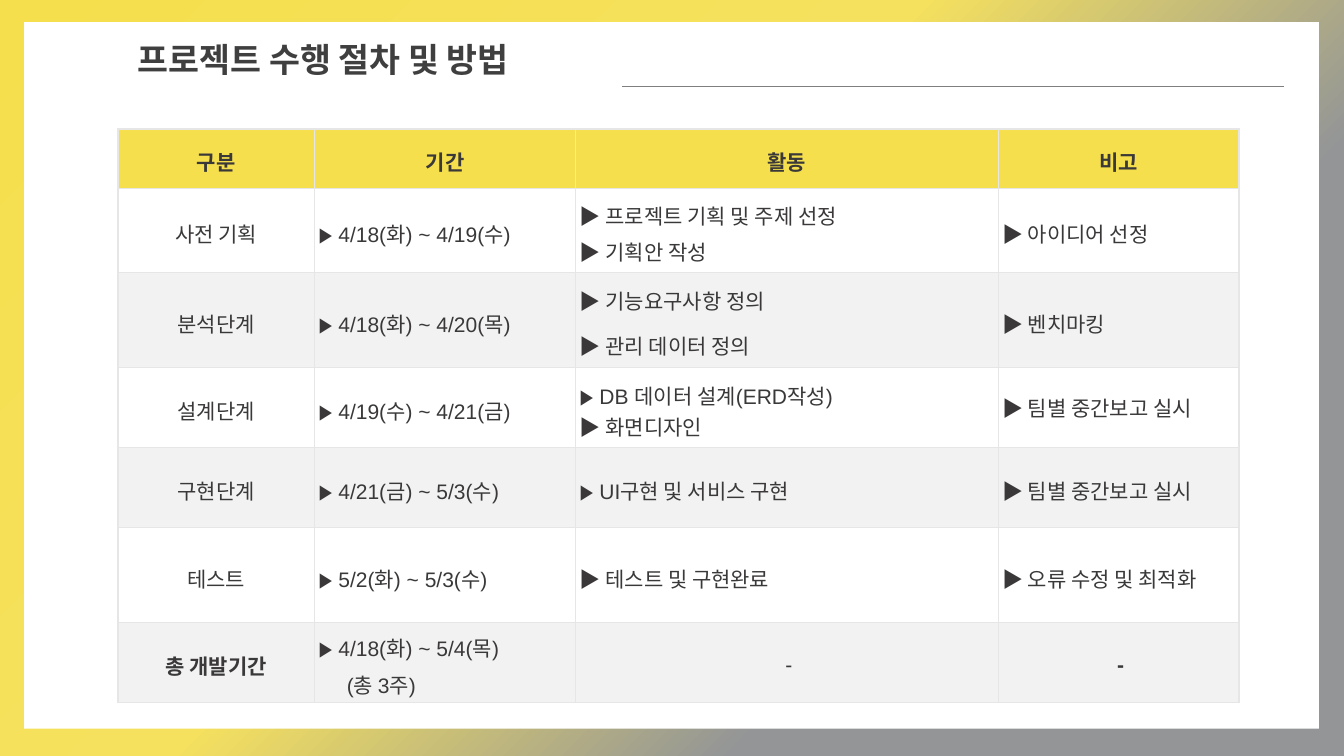
import pptx
import pptx.dml.color
import pptx.enum.shapes
import pptx.enum.text
import pptx.oxml
import pptx.oxml.ns
import pptx.util
from pptx.util import Inches

COLORS = {
    "yellow": "F5DF4D", "pale_yellow": "F5E15E", "gray": "939597",
    "white": "FFFFFF", "band": "F2F2F2", "border": "E7E6E6",
    "title": "3F3F3F", "text": "3A3838", "rule": "7F7F7F",
}
DRAWING_NS = pptx.oxml.ns.nsdecls("a")
CENTER = pptx.enum.text.PP_ALIGN.CENTER
LEFT = pptx.enum.text.PP_ALIGN.LEFT

COLUMN_WIDTHS = [1.95, 2.59, 4.19, 2.39]
ROW_HEIGHTS = [0.59, 0.83, 0.95, 0.79, 0.79, 0.95, 0.79]


def plain(text, **text_format):
    return {"text": text, "align": CENTER, **text_format}


def marked(text, **text_format):
    """A left-aligned line that starts with a bold triangle."""
    return {"text": text, "marker": "▶ ", **text_format}


SCHEDULE = [
    [[plain(name, bold=True)] for name in ("구분", "기간", "활동", "비고")],
    [[plain("사전 기획")], [marked("4/18(화) ~ 4/19(수)")],
     [marked("프로젝트 기획 및 주제 선정"), marked("기획안 작성")],
     [marked("아이디어 선정")]],
    [[plain("분석단계")], [marked("4/18(화) ~ 4/20(목)")],
     [marked("기능요구사항 정의"), marked("관리 데이터 정의", space_before=6)],
     [marked("벤치마킹")]],
    [[plain("설계단계")], [marked("4/19(수) ~ 4/21(금)")],
     [marked("DB 데이터 설계(ERD작성)"), marked("화면디자인", spacing=1.0)],
     [marked("팀별 중간보고 실시", spacing=1.0)]],
    [[plain("구현단계")], [marked("4/21(금) ~ 5/3(수)")],
     [marked("UI구현 및 서비스 구현")], [marked("팀별 중간보고 실시")]],
    [[plain("테스트")], [marked("5/2(화) ~ 5/3(수)")],
     [marked("테스트 및 구현완료")], [marked("오류 수정 및 최적화")]],
    [[plain("총 개발기간", bold=True)],
     [marked("4/18(화) ~ 5/4(목)"), plain("(총 3주)", align=LEFT, indent=0.28)],
     [plain("-")], [plain("-", bold=True)]],
]


def rgb(name):
    return pptx.dml.color.RGBColor.from_string(COLORS[name])


def write_line(paragraph, text, marker="", size=15, color="text", bold=False,
               align=LEFT, spacing=1.2, space_before=0, indent=0):
    paragraph.alignment = align
    paragraph.line_spacing = spacing
    if space_before:
        paragraph.space_before = pptx.util.Pt(space_before)
    if indent:
        paragraph._p.get_or_add_pPr().set("marL", str(Inches(indent)))
    for content, is_bold in ((marker, True), (text, bold)):
        if content:
            run = paragraph.add_run()
            run.text = content
            run.font.name = "Arial"
            run.font.size = pptx.util.Pt(size)
            run.font.bold = is_bold
            run.font.color.rgb = rgb(color)


def set_background(slide):
    slide.background.fill.gradient()
    properties = slide.background._cSld.bg.bgPr
    stops = [(0, "yellow", 100), (44, "pale_yellow", 70),
             (71, "gray", 70), (100, "gray", 100)]
    stop_xml = "".join(
        f'<a:gs pos="{position * 1000}"><a:srgbClr val="{COLORS[color]}">'
        f'<a:alpha val="{opacity * 1000}"/></a:srgbClr></a:gs>'
        for position, color, opacity in stops)
    gradient = pptx.oxml.parse_xml(
        f'<a:gradFill {DRAWING_NS} rotWithShape="1"><a:gsLst>{stop_xml}</a:gsLst>'
        '<a:lin ang="2700000" scaled="0"/></a:gradFill>')
    properties.replace(properties.find(pptx.oxml.ns.qn("a:gradFill")), gradient)


def add_panel(slide, left, top, width, height):
    panel = slide.shapes.add_shape(
        pptx.enum.shapes.MSO_SHAPE.RECTANGLE,
        Inches(left), Inches(top), Inches(width), Inches(height))
    panel.shadow.inherit = False
    panel.fill.solid()
    panel.fill.fore_color.rgb = rgb("white")
    panel.line.fill.background()


def add_title(slide, text, left, top, width, height):
    box = slide.shapes.add_textbox(
        Inches(left), Inches(top), Inches(width), Inches(height))
    box.text_frame.word_wrap = True
    write_line(box.text_frame.paragraphs[0], text, size=24, color="title",
               bold=True, spacing=1.0)


def add_rule(slide, left, right, y):
    rule = slide.shapes.add_connector(
        pptx.enum.shapes.MSO_CONNECTOR.STRAIGHT,
        Inches(left), Inches(y), Inches(right), Inches(y))
    rule.line.color.rgb = rgb("rule")
    rule.line.width = pptx.util.Pt(1)
    rule._element.spPr.append(pptx.oxml.parse_xml(f"<a:effectLst {DRAWING_NS}/>"))


def set_borders(cell):
    properties = cell._tc.get_or_add_tcPr()
    for side in ("lnL", "lnR", "lnT", "lnB"):
        properties.append(pptx.oxml.parse_xml(
            f'<a:{side} {DRAWING_NS} w="12700"><a:solidFill>'
            f'<a:srgbClr val="{COLORS["border"]}"/></a:solidFill></a:{side}>'))


def fill_cell(cell, lines, fill, margins):
    set_borders(cell)
    cell.fill.solid()
    cell.fill.fore_color.rgb = rgb(fill)
    cell.vertical_anchor = pptx.enum.text.MSO_ANCHOR.MIDDLE
    (cell.margin_left, cell.margin_top,
     cell.margin_right, cell.margin_bottom) = map(Inches, margins)
    for index, line in enumerate(lines):
        frame = cell.text_frame
        paragraph = frame.add_paragraph() if index else frame.paragraphs[0]
        write_line(paragraph, **line)


def add_schedule(slide, left, top):
    table = slide.shapes.add_table(
        len(ROW_HEIGHTS), len(COLUMN_WIDTHS), Inches(left), Inches(top),
        Inches(sum(COLUMN_WIDTHS)), Inches(sum(ROW_HEIGHTS))).table
    for column, width in zip(table.columns, COLUMN_WIDTHS):
        column.width = Inches(width)
    for row, height in zip(table.rows, ROW_HEIGHTS):
        row.height = Inches(height)
    for r, cells in enumerate(SCHEDULE):
        fill = "yellow" if r == 0 else "white" if r % 2 else "band"
        for c, lines in enumerate(cells):
            is_label = r == 0 or c == 0
            margins = (0.09, 0.05, 0.09, 0.05) if is_label else (0.04, 0, 0, 0)
            fill_cell(table.cell(r, c), lines, fill, margins)


def main():
    presentation = pptx.Presentation()
    presentation.slide_width = Inches(13.33)
    presentation.slide_height = Inches(7.5)
    slide = presentation.slides.add_slide(presentation.slide_layouts[6])
    set_background(slide)
    add_panel(slide, 0.24, 0.22, 12.84, 7.01)
    add_schedule(slide, 1.17, 1.28)
    add_title(slide, "프로젝트 수행 절차 및 방법", 1.27, 0.34, 4.27, 0.49)
    add_rule(slide, 6.17, 12.74, 0.86)
    presentation.save("out.pptx")


if __name__ == "__main__":
    main()
